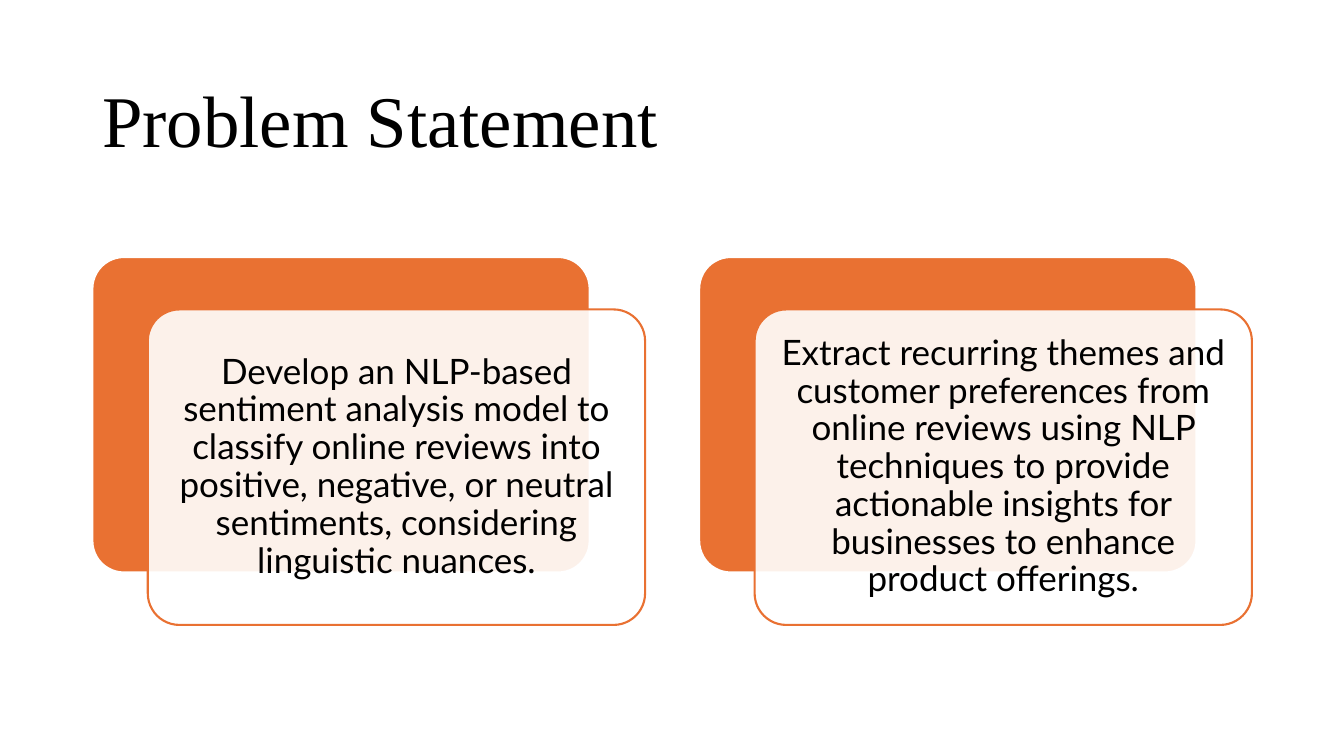
from dataclasses import dataclass

from lxml.etree import SubElement
from pptx import Presentation
from pptx.dml.color import RGBColor
from pptx.enum.shapes import MSO_SHAPE as Preset
from pptx.enum.text import MSO_ANCHOR as Anchor, PP_ALIGN as Align
from pptx.oxml.ns import qn
from pptx.util import Inches, Pt


@dataclass(frozen=True)
class Theme:
    accent: str = "E97132"
    paper: str = "FFFFFF"
    ink: str = "000000"
    title_font: str = "Times New Roman"
    body_font: str = "Lato"
    title_size: float = 52
    body_size: float = 25
    outline: float = 1.5
    spacing: float = 0.9
    corner: float = 0.1
    card_opacity: int = 90


class SlideBuilder:
    """Draw themed elements on a slide grid of 160 columns by 90 rows."""

    COLUMNS, ROWS = 160, 90

    def __init__(self, deck, theme):
        self.theme = theme
        self.column = deck.slide_width / self.COLUMNS
        self.row = deck.slide_height / self.ROWS
        self.page = deck.slides.add_slide(deck.slide_layouts[6])

    def place(self, left, top, width, height):
        return (round(left * self.column), round(top * self.row),
                round(width * self.column), round(height * self.row))

    def text(self, area, words, font, size, align=Align.LEFT, inset=(0.1, 0.05)):
        box = self.page.shapes.add_textbox(*self.place(*area))
        frame = box.text_frame
        frame.word_wrap = True
        frame.vertical_anchor = Anchor.MIDDLE
        frame.margin_left = frame.margin_right = Inches(inset[0])
        frame.margin_top = frame.margin_bottom = Inches(inset[1])
        frame.text = words
        para = frame.paragraphs[0]
        para.alignment = align
        para.line_spacing = self.theme.spacing
        for span in para.runs:
            span.font.name = font
            span.font.size = Pt(size)
            span.font.color.rgb = RGBColor.from_string(self.theme.ink)

    def panel(self, area, fill, line, opacity=100):
        shape = self.page.shapes.add_shape(Preset.ROUNDED_RECTANGLE, *self.place(*area))
        shape.adjustments[0] = self.theme.corner
        shape.shadow.inherit = False
        shape.fill.solid()
        shape.fill.fore_color.rgb = RGBColor.from_string(fill)
        shape.line.color.rgb = RGBColor.from_string(line)
        shape.line.width = Pt(self.theme.outline)
        if opacity < 100:
            color = shape.element.spPr.find(qn("a:solidFill")).find(qn("a:srgbClr"))
            SubElement(color, qn("a:alpha"), val=str(opacity * 1000))

    def title(self, area, words):
        self.text(area, words, self.theme.title_font, self.theme.title_size)

    def card(self, left, top, width, height, words):
        theme = self.theme
        shift_x, shift_y, pad = 6.6, 6.24, 1.1
        front_left, front_top = left + shift_x, top + shift_y
        self.panel((left, top, width, height), theme.accent, theme.paper)
        self.panel((front_left, front_top, width, height),
                   theme.paper, theme.accent, theme.card_opacity)
        text_area = (front_left + pad, front_top + pad, width - 2 * pad, height - 2 * pad)
        self.text(text_area, words, theme.body_font, theme.body_size, Align.CENTER, (0.1, 0.1))


STATEMENTS = (
    "Develop an NLP-based sentiment analysis model to classify online reviews into "
    "positive, negative, or neutral sentiments, considering linguistic nuances.",
    "Extract recurring themes and customer preferences from online reviews using NLP "
    "techniques to provide actionable insights for businesses to enhance product offerings.",
)


def main():
    deck = Presentation()
    deck.slide_width, deck.slide_height = Inches(13.33), Inches(7.5)
    slide = SlideBuilder(deck, Theme())
    margin, pitch = 11, 72.24
    slide.title((margin, 7.3, 138, 14.9), "Problem Statement")
    for index, statement in enumerate(STATEMENTS):
        slide.card(margin + index * pitch, 30.6, 59.2, 37.56, statement)
    deck.save("out.pptx")


if __name__ == "__main__":
    main()
